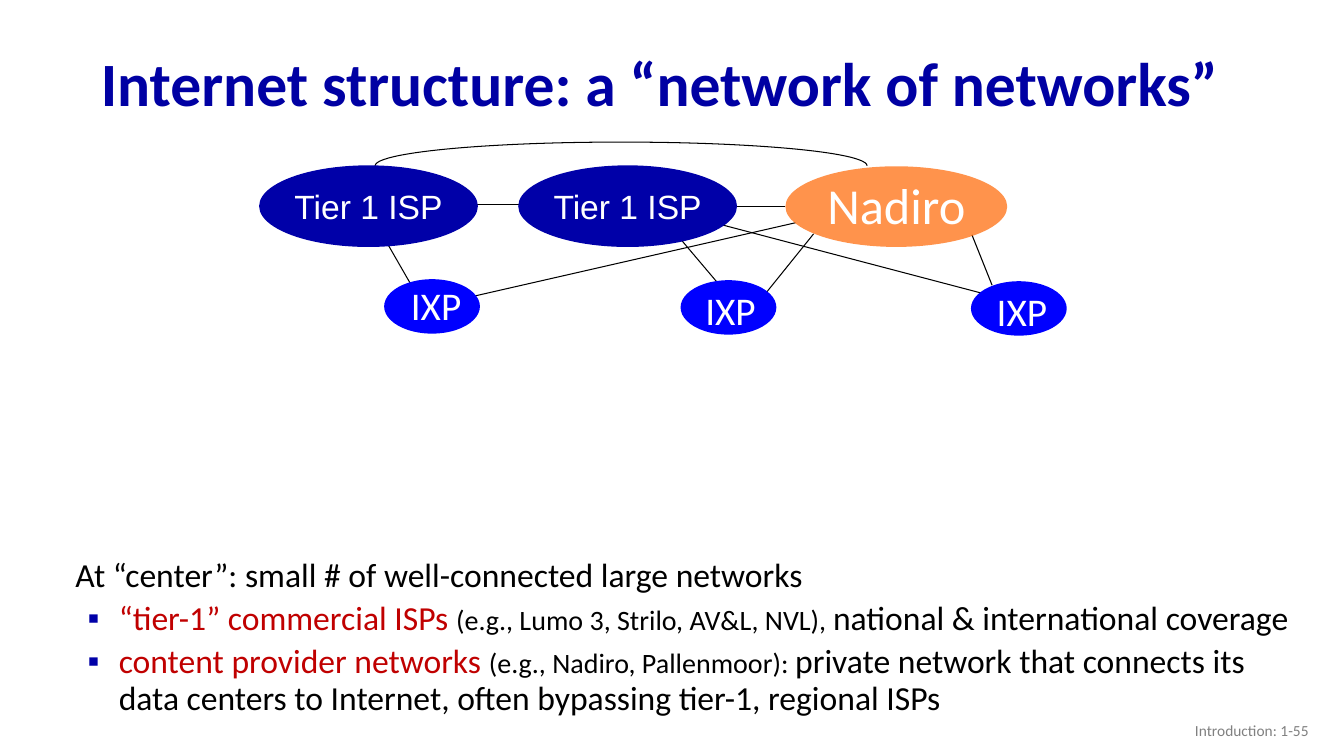
from lxml import etree
from pptx import Presentation
from pptx.dml.color import RGBColor
from pptx.enum.shapes import MSO_CONNECTOR as CONN, MSO_SHAPE as SHAPE
from pptx.enum.text import MSO_ANCHOR as ANCHOR, MSO_AUTO_SIZE as AUTO, PP_ALIGN as ALIGN
from pptx.oxml.ns import qn
from pptx.util import Inches, Pt

TITLE = RGBColor(0x00, 0x00, 0xA3)
NAVY = RGBColor(0x00, 0x00, 0xA8)
BLUE = RGBColor(0x00, 0x00, 0xFF)
ORANGE = RGBColor(0xFF, 0x66, 0x00)
RED = RGBColor(0xC0, 0x00, 0x00)
GRAY = RGBColor(0x80, 0x80, 0x80)
BLACK = RGBColor(0x00, 0x00, 0x00)
WHITE = RGBColor(0xFF, 0xFF, 0xFF)

LINKS = [
    (5.32, 0.8, 1.86, 1.59), (7.07, 0.92, 7.27, 1.42), (5.5, 0.91, 4.96, 1.58),
    (2.71, 0.62, 2.13, 0.62), (5.22, 0.64, 4.74, 0.64), (1.24, 0.95, 1.51, 1.42),
    (4.17, 0.95, 4.61, 1.47), (4.55, 0.81, 7.21, 1.51),
]
EXCHANGES = [(1.24, 1.36, 1.4, 1.33), (7.06, 1.38, 7.21, 1.39), (4.18, 1.37, 4.32, 1.38)]
BULLETS = [
    [("“tier-1” commercial ISPs ", 24, RED),
     ("(e.g., Lumo 3, Strilo, AV&L, NVL), ", 20, BLACK),
     ("national & international coverage", 24, BLACK)],
    [("content provider networks ", 24, RED),
     ("(e.g., Nadiro, Pallenmoor): ", 20, BLACK),
     ("private network that connects its data centers to Internet, "
      "often bypassing tier-1, regional ISPs", 24, BLACK)],
]


def add_run(p, text, size, color, font="Calibri", bold=False):
    r = p.add_run()
    r.text = text
    r.font.size = Pt(size)
    r.font.name = font
    r.font.bold = bold
    r.font.color.rgb = color


def add_text(shapes, x, y, w, h, wrap=True):
    tf = shapes.add_textbox(Inches(x), Inches(y), Inches(w), Inches(h)).text_frame
    tf.word_wrap = wrap
    return tf


def add_label(shapes, x, y, w, h, text, size):
    tf = add_text(shapes, x, y, w, h, wrap=False)
    tf.auto_size = AUTO.SHAPE_TO_FIT_TEXT
    p = tf.paragraphs[0]
    p.alignment = ALIGN.CENTER
    add_run(p, text, size, WHITE)


def add_ellipse(shapes, x, y, w, h, color):
    sp = shapes.add_shape(SHAPE.OVAL, Inches(x), Inches(y), Inches(w), Inches(h))
    sp.shadow.inherit = False
    sp.fill.solid()
    sp.fill.fore_color.rgb = color
    sp.line.fill.background()
    return sp


def add_link(shapes, x1, y1, x2, y2):
    c = shapes.add_connector(CONN.STRAIGHT, Inches(x1), Inches(y1), Inches(x2), Inches(y2))
    c.line.color.rgb = BLACK
    c.line.width = Pt(0.75)
    etree.SubElement(c._element.spPr, qn("a:effectLst"))


def add_arc(shapes, x, y, w, h):
    sp = shapes.add_shape(SHAPE.ARC, Inches(x), Inches(y), Inches(w), Inches(h))
    sp.adjustments[0] = 106.82
    sp.adjustments[1] = 0
    sp.shadow.inherit = False
    sp.fill.background()
    sp.line.color.rgb = BLACK
    sp.line.width = Pt(0.75)


def add_bullet(p):
    pPr = p._p.get_or_add_pPr()
    pPr.set("marL", str(Inches(0.5)))
    pPr.set("indent", str(Inches(-0.31)))
    clr = etree.SubElement(pPr, qn("a:buClr"))
    etree.SubElement(clr, qn("a:srgbClr"), val=str(NAVY))
    etree.SubElement(pPr, qn("a:buFont"), typeface="Arial")
    etree.SubElement(pPr, qn("a:buChar"), char="▪")
    tabs = etree.SubElement(pPr, qn("a:tabLst"))
    etree.SubElement(tabs, qn("a:tab"), pos=str(Inches(0.37)), algn="l")


def add_title(s, x, y, w, h):
    sp = s.shapes.title
    sp.left, sp.top, sp.width, sp.height = (Inches(v) for v in (x, y, w, h))
    tf = sp.text_frame
    tf.word_wrap = True
    tf.auto_size = AUTO.NONE
    tf.vertical_anchor = ANCHOR.MIDDLE
    p = tf.paragraphs[0]
    p.alignment = ALIGN.LEFT
    p.line_spacing = 0.9
    add_run(p, "Internet structure: a “network of networks”", 44, TITLE, bold=True)


def add_network(s, x, y):
    shapes = s.shapes.add_group_shape().shapes
    for x1, y1, x2, y2 in LINKS:
        add_link(shapes, x + x1, y + y1, x + x2, y + y2)
    add_arc(shapes, x + 1.15, y, 4.88, 0.47)
    for dx in (0, 2.57):
        sp = add_ellipse(shapes, x + dx, y + 0.23, 2.17, 0.81, NAVY)
        tf = sp.text_frame
        tf.word_wrap = False
        tf.vertical_anchor = ANCHOR.MIDDLE
        p = tf.paragraphs[0]
        p.alignment = ALIGN.CENTER
        add_run(p, "Tier 1 ISP", 24, WHITE, "Arial")
    sp = add_ellipse(shapes, x + 5.22, y + 0.24, 2.2, 0.8, ORANGE)
    clr = sp._element.spPr.find(qn("a:solidFill"))[0]
    etree.SubElement(clr, qn("a:alpha"), val="70000")
    add_label(shapes, x + 5.42, y + 0.27, 1.8, 0.71, "Nadiro", 36)
    for ex, ey, tx, ty in EXCHANGES:
        add_ellipse(shapes, x + ex, y + ey, 0.95, 0.54, BLUE)
        add_label(shapes, x + tx, y + ty, 0.71, 0.54, "IXP", 28)


def add_body(s, x, y, w, h):
    tf = add_text(s.shapes, x, y, w, h)
    p = tf.paragraphs[0]
    p._p.get_or_add_pPr().set("marL", str(Inches(0.07)))
    p.line_spacing = 0.9
    add_run(p, "At “center”: small # of well-connected large networks", 24, BLACK)
    for runs in BULLETS:
        p = tf.add_paragraph()
        p.level = 1
        add_bullet(p)
        p.line_spacing = 0.9
        p.space_before = Pt(5)
        for text, size, color in runs:
            add_run(p, text, size, color)


def add_footer(s, x, y, w, h):
    tf = add_text(s.shapes, x, y, w, h)
    tf.vertical_anchor = ANCHOR.MIDDLE
    p = tf.paragraphs[0]
    p.alignment = ALIGN.RIGHT
    add_run(p, "Introduction: 1-55", 11, GRAY)


def main():
    prs = Presentation()
    prs.slide_width = Inches(13.33)
    prs.slide_height = Inches(7.5)
    s = prs.slides.add_slide(prs.slide_layouts[5])
    add_title(s, 0.9, 0.37, 11.5, 0.98)
    add_body(s, 0.58, 5.49, 12.34, 2)
    add_network(s, 2.57, 1.41)
    add_footer(s, 10.08, 7.05, 3, 0.4)
    prs.save("out.pptx")


if __name__ == "__main__":
    main()
